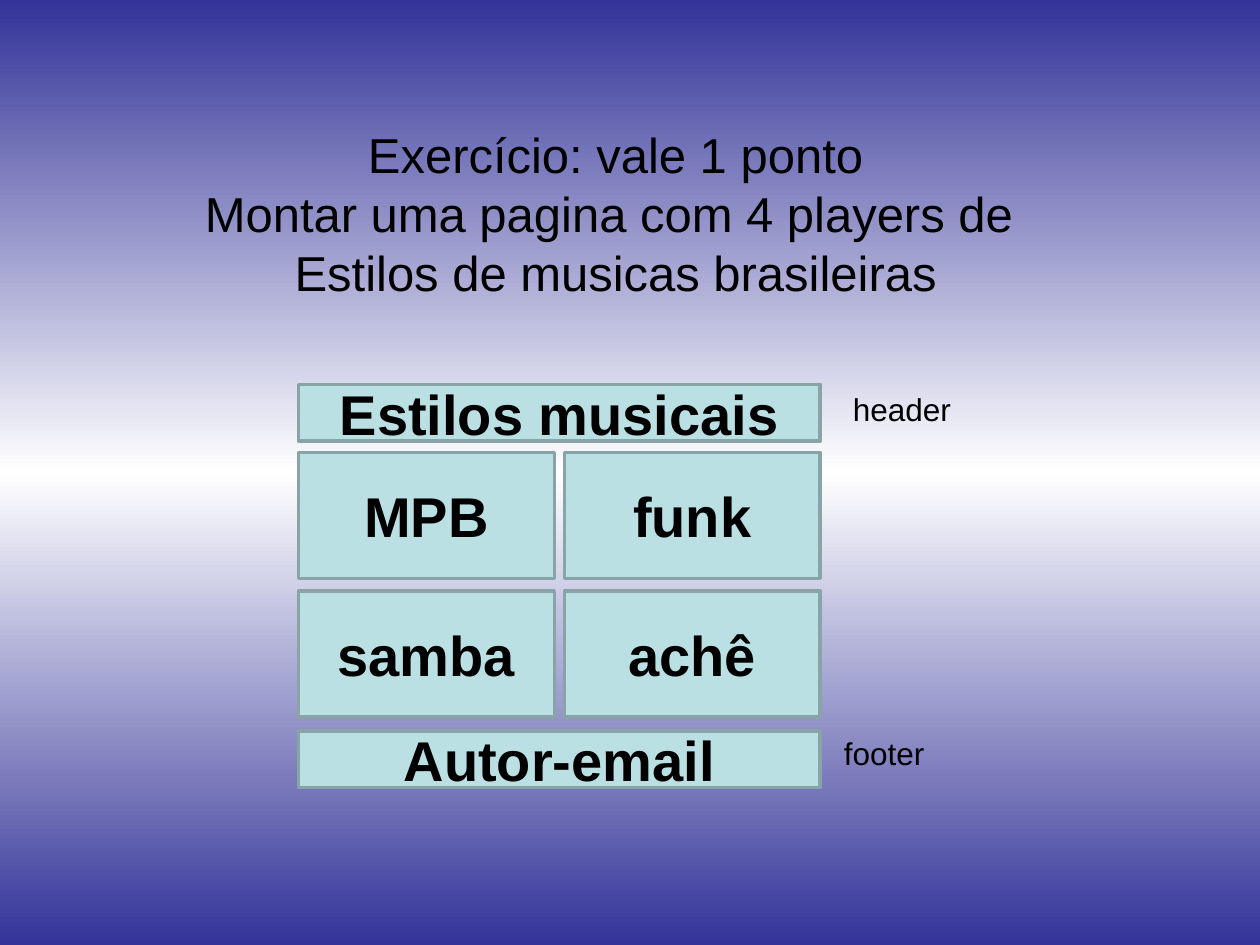
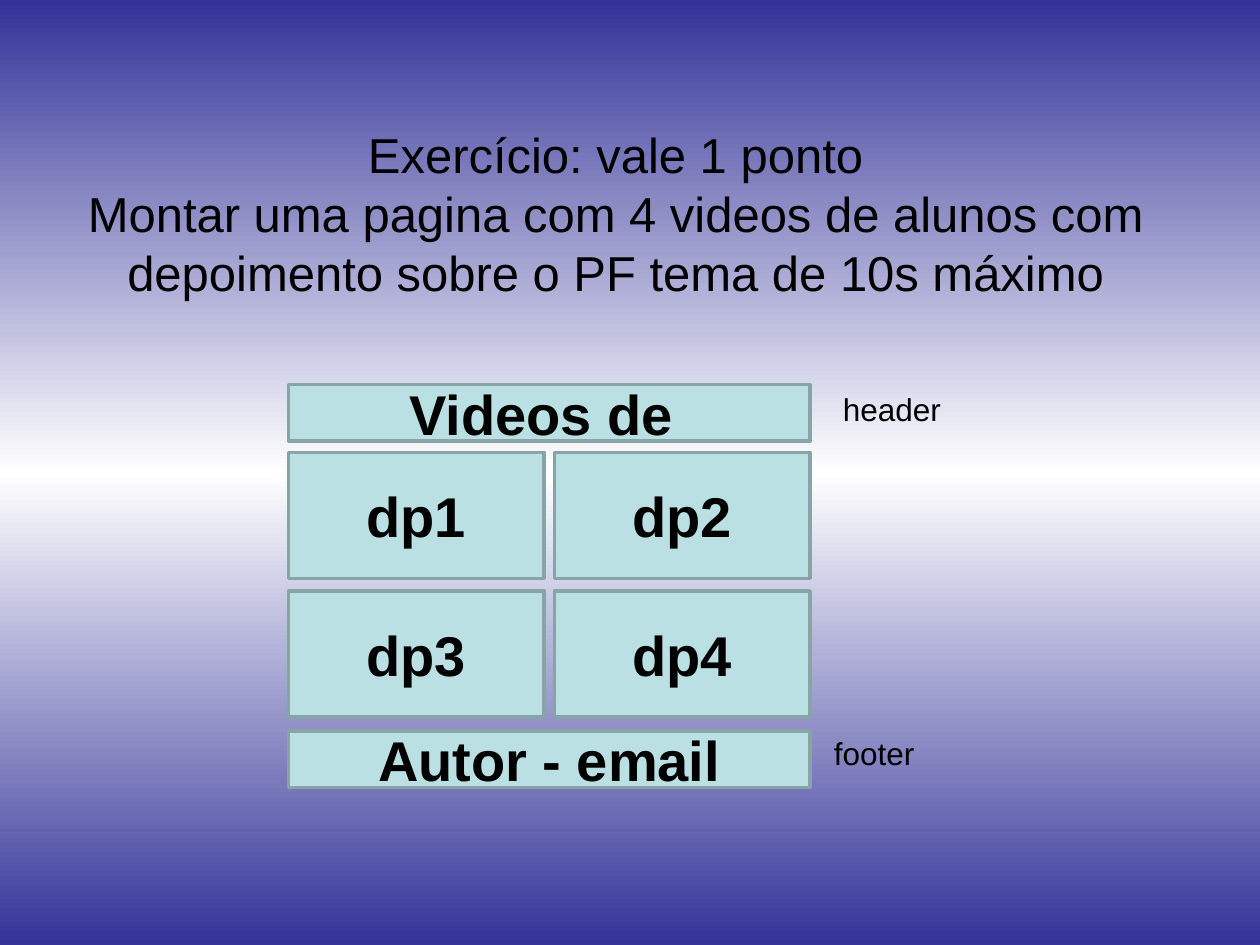
"""Build two exercise slides, each with a sketch of a web page to assemble."""
import copy

import pptx
import pptx.dml.color
import pptx.enum.shapes
import pptx.enum.text
import pptx.oxml.ns
import pptx.util

Inches = pptx.util.Inches
Pt = pptx.util.Pt
RGBColor = pptx.dml.color.RGBColor
ANCHOR = pptx.enum.text.MSO_ANCHOR
CENTER = pptx.enum.text.PP_ALIGN.CENTER

NAVY = RGBColor(0x33, 0x33, 0x99)
WHITE = RGBColor(0xFF, 0xFF, 0xFF)
BLACK = RGBColor(0x00, 0x00, 0x00)
PALE_TEAL = RGBColor(0xBB, 0xE0, 0xE3)
GREY_TEAL = RGBColor(0x89, 0xA4, 0xA7)

PAGE_WIDTH, BAND_HEIGHT = 4.14, 0.45
HEADER_TOP, FOOTER_TOP = 3.05, 5.8
CELL_WIDTH, CELL_HEIGHT = 2.03, 1
GRID_TOP, COLUMN_STEP, ROW_STEP = 3.59, 2.11, 1.1

EXERCISES = [
    {"task": ["Exercício: vale 1 ponto",
              "Montar uma pagina com 4 players de ",
              "Estilos de musicas brasileiras"],
     "task_height": 1.97, "page_left": 2.37,
     "header": "Estilos musicais", "footer": "Autor-email",
     "cells": ["MPB", "funk", "samba", "achê"]},
    {"task": ["Exercício: vale 1 ponto",
              "Montar uma pagina com 4 videos de alunos com "
              "depoimento sobre o PF tema de 10s máximo"],
     "task_height": 1.5, "page_left": 2.29,
     "header": "Videos de ", "footer": "Autor - email",
     "cells": ["dp1", "dp2", "dp3", "dp4"]},
]


def style_text(frame, size, bold=False, align=None):
    for paragraph in frame.paragraphs:
        paragraph.alignment = align
        paragraph.font.name = "Arial"
        paragraph.font.size = Pt(size)
        paragraph.font.bold = bold
        paragraph.font.color.rgb = BLACK


def add_block(slide, text, left, top, width, height):
    block = slide.shapes.add_shape(
        pptx.enum.shapes.MSO_SHAPE.RECTANGLE,
        Inches(left), Inches(top), Inches(width), Inches(height))
    block.shadow.inherit = False
    block.fill.solid()
    block.fill.fore_color.rgb = PALE_TEAL
    block.line.color.rgb = GREY_TEAL
    block.line.width = Pt(2)
    block.text_frame.text = text
    block.text_frame.vertical_anchor = ANCHOR.MIDDLE
    style_text(block.text_frame, 32, True, CENTER)


deck = pptx.Presentation()
deck.slide_width, deck.slide_height = Inches(10), Inches(7.5)

backdrop = deck.slide_master.background.fill
backdrop.gradient()
backdrop.gradient_angle = 270
stop_list = deck.slide_master.element.find(".//" + pptx.oxml.ns.qn("a:gsLst"))
stop_list.insert(1, copy.deepcopy(stop_list[0]))
for stop, position, color in zip(backdrop.gradient_stops, (0, 0.5, 1), (NAVY, WHITE, NAVY)):
    stop.position = position
    stop.color.rgb = color

for exercise in EXERCISES:
    slide = deck.slides.add_slide(deck.slide_layouts[5])
    page_left = exercise["page_left"]

    task = slide.shapes.title
    task.left, task.top = Inches(0), Inches(0.94)
    task.width, task.height = Inches(9.77), Inches(exercise["task_height"])
    task.text_frame.text = "\n".join(exercise["task"])
    task.text_frame.word_wrap = True
    task.text_frame.auto_size = pptx.enum.text.MSO_AUTO_SIZE.NONE
    task.text_frame.vertical_anchor = ANCHOR.TOP
    style_text(task.text_frame, 28, False, CENTER)

    for index, cell in enumerate(exercise["cells"]):
        row, column = divmod(index, 2)
        add_block(slide, cell, page_left + column * COLUMN_STEP,
                  GRID_TOP + row * ROW_STEP, CELL_WIDTH, CELL_HEIGHT)

    for part, band_top, label_offset, label_top, label_width in (
            ("header", HEADER_TOP, 4.3, 3.05, 0.98),
            ("footer", FOOTER_TOP, 4.23, 5.78, 0.84)):
        add_block(slide, exercise[part], page_left, band_top, PAGE_WIDTH, BAND_HEIGHT)
        label = slide.shapes.add_textbox(
            Inches(page_left + label_offset), Inches(label_top),
            Inches(label_width), Inches(0.4))
        label.text_frame.text = part
        label.text_frame.word_wrap = False
        style_text(label.text_frame, 18)

deck.save("out.pptx")
